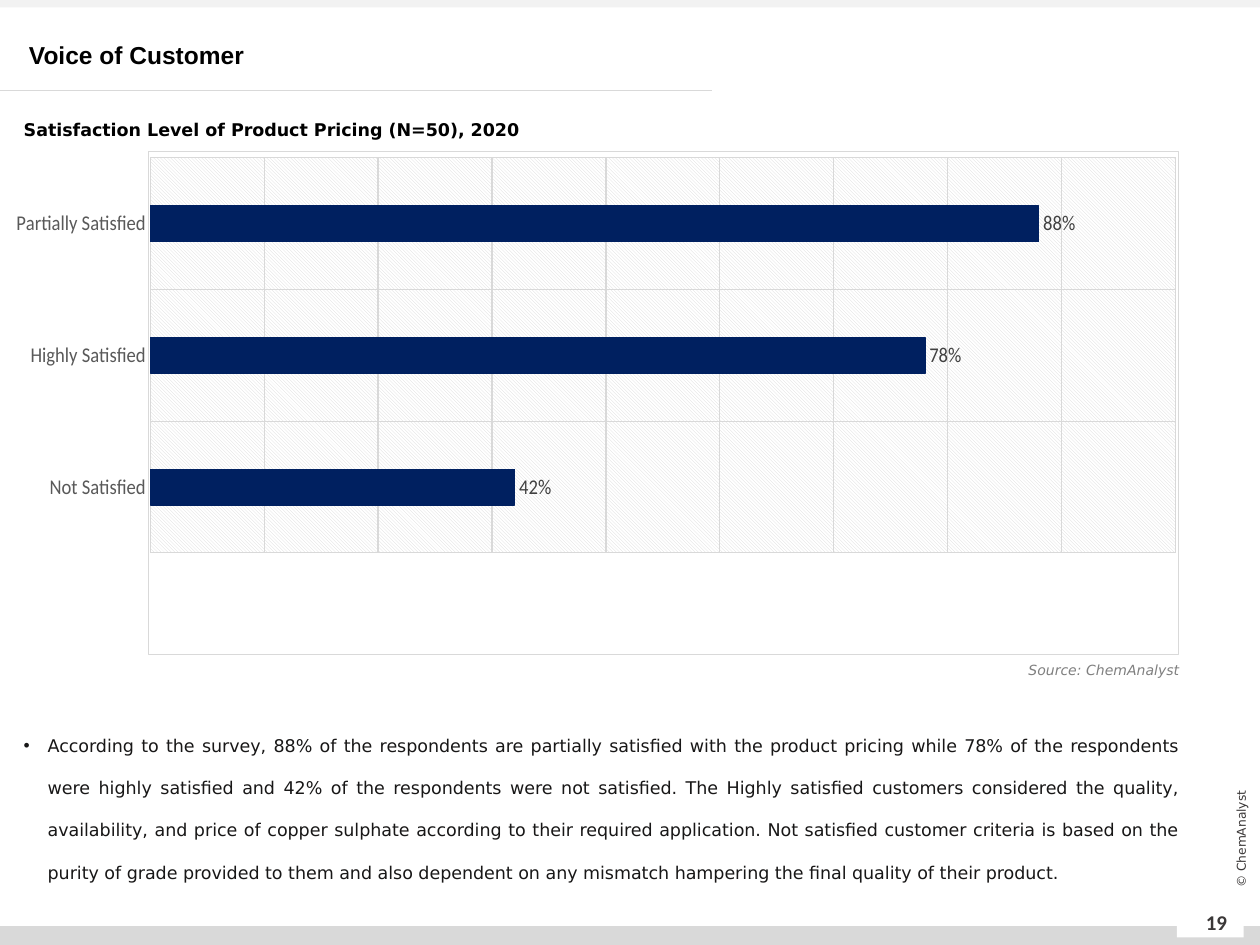
from lxml.etree import SubElement as Sub
from pptx import Presentation
from pptx.chart.data import CategoryChartData as Data
from pptx.dml.color import RGBColor as Rgb
from pptx.enum.chart import XL_CHART_TYPE as Kind, XL_LABEL_POSITION as Spot, XL_TICK_MARK as Tick
from pptx.enum.shapes import MSO_CONNECTOR as Link, MSO_SHAPE as Form
from pptx.enum.text import MSO_ANCHOR as Anchor, PP_ALIGN as Align
from pptx.oxml import parse_xml
from pptx.oxml.ns import nsdecls, qn
from pptx.util import Inches, Pt

COLS, ROWS = 100, 75  # grid over the slide
HUE = {
    "white": "FFFFFF", "black": "000000", "rule": "D9D9D9", "pale": "F2F2F2",
    "navy": "002060", "dark": "3B3838", "ink": "181717", "axis": "595959",
    "label": "404040", "grey": "808080",
}
SANS, HEAD, PLOT = "DejaVu Sans", "Arial", "Calibri"
BODY = (
    "According to the survey, 88% of the respondents are partially satisfied with the product "
    "pricing while 78% of the respondents were highly satisfied and 42% of the respondents were "
    "not satisfied. The Highly satisfied customers considered the quality, availability, and price "
    "of copper sulphate according to their required application. Not satisfied customer criteria "
    "is based on the purity of grade provided to them and also dependent on any mismatch hampering "
    "the final quality of their product."
)


def tint(name):
    return Rgb.from_string(HUE[name])


def apply(item, **values):
    for key, value in values.items():
        setattr(item, key, value)


def style(font, size, hue, name, **more):
    apply(font, size=Pt(size), name=name, **more)
    font.color.rgb = tint(hue)


def rule(line, hue="rule", width=0.75):
    line.color.rgb = tint(hue)
    line.width = Pt(width)


class Page:
    def __init__(self):
        self.deck = Presentation()
        apply(self.deck, slide_width=Inches(10), slide_height=Inches(7.5))
        self.slide = self.deck.slides.add_slide(self.deck.slide_layouts[5])
        self.shapes = self.slide.shapes

    def place(self, *cells):
        """Turn left, top, width, height in grid cells into lengths."""
        wide = self.deck.slide_width / COLS
        high = self.deck.slide_height / ROWS
        return [round(n * unit) for n, unit in zip(cells, (wide, high) * 2)]

    def title(self, text, cells, *look):
        box = self.shapes.title
        apply(box, **dict(zip(("left", "top", "width", "height"), self.place(*cells))))
        frame = box.text_frame
        apply(frame, text=text, vertical_anchor=Anchor.BOTTOM, margin_bottom=0)
        frame.paragraphs[0].alignment = Align.LEFT
        style(frame.paragraphs[0].font, *look, bold=True)

    def band(self, cells, hue):
        band = self.shapes.add_shape(Form.RECTANGLE, *self.place(*cells))
        band.shadow.inherit = False
        band.fill.solid()
        band.fill.fore_color.rgb = tint(hue)
        band.line.fill.background()

    def line(self, ends, width):
        line = self.shapes.add_connector(Link.STRAIGHT, *self.place(*ends))
        rule(line.line, width=width)
        Sub(line.element.spPr, qn("a:effectLst"))

    def text(self, text, cells, look, align=Align.LEFT, anchor=Anchor.TOP,
             gap=1.0, turn=0, bullet=None, **more):
        box = self.shapes.add_textbox(*self.place(*cells))
        box.rotation = turn
        frame = box.text_frame
        apply(frame, text=text, word_wrap=True, vertical_anchor=anchor)
        para = frame.paragraphs[0]
        apply(para, alignment=align, line_spacing=gap)
        if bullet:
            props = para._p.get_or_add_pPr()
            indent = Inches(0.19)
            props.set("marL", str(indent))
            props.set("indent", str(-indent))
            Sub(props, qn("a:buFont"), typeface="Arial")
            Sub(props, qn("a:buChar"), char=bullet)
        style(para.runs[0].font, *look, **more)

    def chart(self, cells, scores, inner):
        data = Data(number_format="0%")
        data.categories = list(scores)
        data.add_series("Series 1", list(scores.values()))
        chart = self.shapes.add_chart(Kind.BAR_CLUSTERED, *self.place(*cells), data).chart
        apply(chart, has_legend=False, has_title=False)
        style(chart.font, 10, "black", PLOT)

        # Axes
        names, scale = chart.category_axis, chart.value_axis
        apply(names, major_tick_mark=Tick.NONE, has_major_gridlines=True)
        style(names.tick_labels.font, 12, "axis", PLOT)
        apply(scale, visible=False, minimum_scale=0.1, maximum_scale=1,
              major_unit=0.1, has_major_gridlines=True)
        for line in (names.format.line, names.major_gridlines.format.line,
                     scale.major_gridlines.format.line):
            rule(line)

        # Bars and labels
        plot = chart.plots[0]
        apply(plot, gap_width=267, vary_by_categories=False, has_data_labels=True)
        bars = plot.series[0].format
        bars.fill.solid()
        bars.fill.fore_color.rgb = tint("navy")
        rule(bars.line, "navy")
        tags = plot.data_labels
        apply(tags, show_value=True, position=Spot.OUTSIDE_END,
              number_format="0%", number_format_is_linked=False)
        style(tags.font, 12, "label", PLOT)

        # Plot area: inner layout and hatching
        root = chart._chartSpace
        area = root.find(".//" + qn("c:plotArea"))
        for old in area.findall(qn("c:layout")):
            area.remove(old)
        modes = {"layoutTarget": "inner", "xMode": "edge", "yMode": "edge"}
        modes.update(zip("xywh", inner))
        marks = "".join(f'<c:{key} val="{value}"/>' for key, value in modes.items())
        area.insert(0, parse_xml(
            f'<c:layout {nsdecls("c")}><c:manualLayout>{marks}</c:manualLayout></c:layout>'))
        area.append(self.paint(
            f'<a:pattFill prst="ltDnDiag"><a:fgClr>{self.shade("rule")}</a:fgClr>'
            f'<a:bgClr>{self.shade("white")}</a:bgClr></a:pattFill>'))

        # Chart frame
        root.find(qn("c:chart")).addnext(self.paint(
            f'<a:solidFill>{self.shade("white")}</a:solidFill><a:ln w="{Pt(0.75)}">'
            f'<a:solidFill>{self.shade("rule")}</a:solidFill></a:ln>'))

    @staticmethod
    def shade(name):
        return f'<a:srgbClr val="{HUE[name]}"/>'

    @staticmethod
    def paint(inside):
        return parse_xml(f'<c:spPr {nsdecls("c", "a")}>{inside}</c:spPr>')


def main():
    page = Page()

    # Page frame
    page.band((0, 73.5, 100, 1.5), "rule")
    page.band((0, 0, 100, 0.6), "pale")
    page.band((93.4, 72.2, 5.3, 2.2), "white")
    page.line((0, 7.2, 56.5, 7.2), 0.5)
    page.text("19", (94.1, 71.2, 4.9, 4), (12, "dark", PLOT),
              Align.CENTER, Anchor.MIDDLE, bold=True)
    page.text("© ChemAnalyst", (92.5, 65.8, 12, 1.6), (7, "dark", SANS),
              Align.CENTER, Anchor.MIDDLE, turn=270)

    # Headings
    page.title("Voice of Customer", (1.3, 0.7, 84.5, 4.8), 14, "black", HEAD)
    page.text("Satisfaction Level of Product Pricing (N=50), 2020",
              (0.9, 8.1, 59.3, 3.2), (10, "black", SANS), gap=1.5, bold=True)

    # Findings
    page.text(BODY, (0.9, 56.2, 93.6, 15.7), (10, "ink", SANS),
              Align.JUSTIFY, gap=2.0, bullet="•")

    # Survey chart and its source
    scores = {"Not Satisfied": 0.42, "Highly Satisfied": 0.78, "Partially Satisfied": 0.88}
    page.chart((1.3, 12, 92.3, 40), scores, (0.002, 0.012, 0.995, 0.786))
    page.text("Source: ChemAnalyst", (70.5, 52, 24.1, 2.4), (8, "grey", SANS),
              Align.RIGHT, italic=True)

    page.deck.save("out.pptx")


if __name__ == "__main__":
    main()
